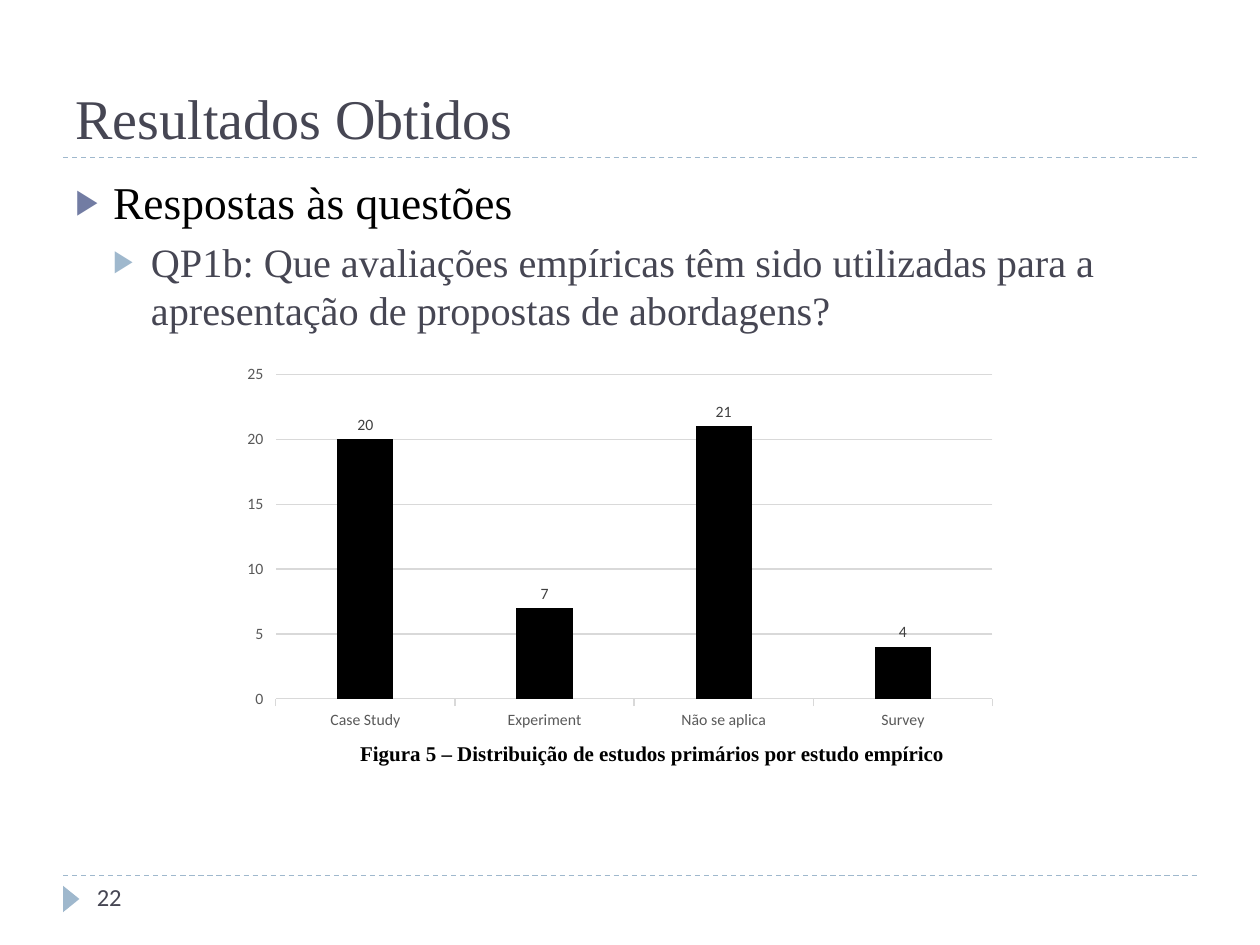
from dataclasses import dataclass

import lxml.etree
import pptx
import pptx.chart.data
import pptx.dml.color
import pptx.enum.chart
import pptx.enum.dml
import pptx.enum.shapes
import pptx.enum.text
import pptx.oxml
import pptx.oxml.ns
import pptx.util
from pptx.util import Inches


@dataclass(frozen=True)
class Theme:
    ink: str = "464653"
    black: str = "000000"
    accent: str = "727CA3"
    soft: str = "9FB8CD"
    grid: str = "D9D9D9"
    axis_text: str = "595959"
    label_text: str = "404040"
    serif: str = "Times New Roman"
    sans: str = "Calibri"
    title: int = 32
    topic: int = 26
    question: int = 23
    number: int = 14
    caption: int = 12
    chart: int = 10
    chart_small: int = 9


theme = Theme()
rgb = pptx.dml.color.RGBColor.from_string


def set_font(font, name, size, color, bold=False):
    font.name = name
    font.size = pptx.util.Pt(size)
    font.color.rgb = rgb(color)
    font.bold = bold


def add_text_box(page, left, top, width, height):
    box = page.shapes.add_textbox(Inches(left), Inches(top), Inches(width), Inches(height))
    box.text_frame.word_wrap = True
    return box


deck = pptx.Presentation()
deck.slide_width = Inches(10)
deck.slide_height = Inches(7.5)
page = deck.slides.add_slide(deck.slide_layouts[5])

for top in (6.95, 1.25):
    rule = page.shapes.add_connector(
        pptx.enum.shapes.MSO_CONNECTOR.STRAIGHT, Inches(0.5), Inches(top), Inches(9.5), Inches(top)
    )
    rule.line.color.rgb = rgb(theme.soft)
    rule.line.width = pptx.util.Pt(0.75)
    rule.line.dash_style = pptx.enum.dml.MSO_LINE.DASH
    lxml.etree.SubElement(rule._element.spPr, pptx.oxml.ns.qn("a:effectLst"))

marker = page.shapes.add_shape(
    pptx.enum.shapes.MSO_SHAPE.ISOSCELES_TRIANGLE, Inches(0.46), Inches(7.07), Inches(0.21), Inches(0.13)
)
marker.rotation = 90
marker.shadow.inherit = False
marker.fill.solid()
marker.fill.fore_color.rgb = rgb(theme.soft)
marker.line.fill.background()

title = page.shapes.title
title.left, title.top, title.width, title.height = Inches(0.5), Inches(0.17), Inches(9), Inches(1.08)
title.text_frame.text = "Resultados Obtidos"
title.text_frame.vertical_anchor = pptx.enum.text.MSO_ANCHOR.BOTTOM
para = title.text_frame.paragraphs[0]
para.alignment = pptx.enum.text.PP_ALIGN.LEFT
set_font(para.font, theme.serif, theme.title, theme.ink)

body = add_text_box(page, 0.5, 1.33, 9, 5.42)
topics = [
    ("Respostas às questões", theme.topic, theme.black, theme.accent, 6),
    (
        "QP1b: Que avaliações empíricas têm sido utilizadas para a apresentação de propostas de abordagens?",
        theme.question, theme.ink, theme.soft, 5,
    ),
]
for level, (text, size, color, bullet_color, space) in enumerate(topics):
    para = body.text_frame.add_paragraph() if level else body.text_frame.paragraphs[0]
    para.text = text
    para.level = level
    para.space_before = pptx.util.Pt(space)
    set_font(para.font, theme.serif, size, color)
    properties = para._p.get_or_add_pPr()
    properties.set("marL", str(Inches(0.3 * (level + 1))))
    properties.set("indent", str(Inches(-0.3)))
    bullet = pptx.oxml.parse_xml(
        f'<a:pPr {pptx.oxml.ns.nsdecls("a")}><a:buClr><a:srgbClr val="{bullet_color}"/></a:buClr>'
        '<a:buSzPct val="76000"/><a:buFont typeface="Arial"/><a:buChar char="▶"/></a:pPr>'
    )
    properties.extend(list(bullet))
    for run_defaults in properties.findall(pptx.oxml.ns.qn("a:defRPr")):
        properties.append(run_defaults)

number = add_text_box(page, 0.67, 6.95, 2.17, 0.4)
number.text_frame.text = "22"
set_font(number.text_frame.paragraphs[0].font, theme.sans, theme.number, theme.ink)

caption = add_text_box(page, 2.76, 5.83, 5.33, 0.3)
caption.text_frame.auto_size = pptx.enum.text.MSO_AUTO_SIZE.SHAPE_TO_FIT_TEXT
caption.text_frame.text = "Figura 5 – Distribuição de estudos primários por estudo empírico"
set_font(caption.text_frame.paragraphs[0].font, theme.serif, theme.caption, theme.black, True)

studies = pptx.chart.data.CategoryChartData()
studies.categories = ["Case Study", "Experiment", "Não se aplica", "Survey"]
studies.add_series("Series 1", (20, 7, 21, 4))
chart = page.shapes.add_chart(
    pptx.enum.chart.XL_CHART_TYPE.COLUMN_CLUSTERED,
    Inches(1.84), Inches(2.84), Inches(6.16), Inches(3.01), studies,
).chart
chart.has_legend = False
chart.has_title = False
set_font(chart.font, theme.sans, theme.chart, theme.black)

for axis in (chart.category_axis, chart.value_axis):
    set_font(axis.tick_labels.font, theme.sans, theme.chart_small, theme.axis_text)
    axis.major_tick_mark = pptx.enum.chart.XL_TICK_MARK.OUTSIDE
    axis.minor_tick_mark = pptx.enum.chart.XL_TICK_MARK.NONE
chart.value_axis.minimum_scale = 0
chart.value_axis.maximum_scale = 25
chart.value_axis.major_unit = 5
chart.value_axis.format.line.fill.background()
for line in (chart.category_axis.format.line, chart.value_axis.major_gridlines.format.line):
    line.color.rgb = rgb(theme.grid)
    line.width = pptx.util.Pt(0.75)

plot = chart.plots[0]
plot.vary_by_categories = False
plot.gap_width = 219
plot.overlap = -27
series = plot.series[0]
series.format.fill.solid()
series.format.fill.fore_color.rgb = rgb(theme.black)
labels = series.data_labels
labels.show_value = True
labels.position = pptx.enum.chart.XL_LABEL_POSITION.OUTSIDE_END
set_font(labels.font, theme.sans, theme.chart_small, theme.label_text)

deck.save("out.pptx")
